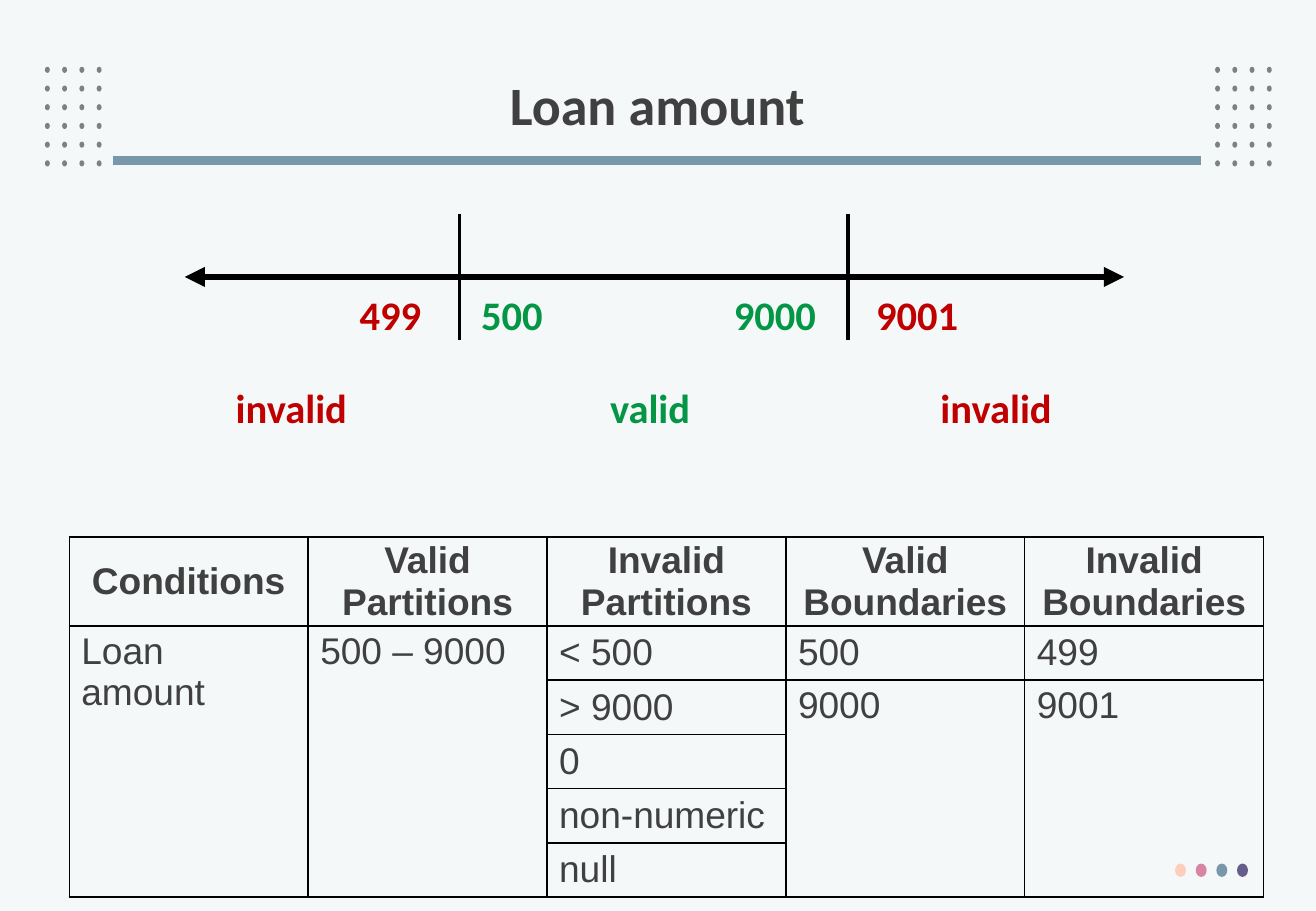
from lxml import etree
from pptx import Presentation
from pptx import util as u
from pptx.dml.color import RGBColor
from pptx.enum import shapes, text
from pptx.oxml.ns import qn

COLORS = {"bg": "F5F8F9", "dot": "808080", "rule": "7897AB", "text": "404040",
          "black": "000000", "valid": "039645", "invalid": "C00000",
          "peach": "FDCEB9", "pink": "D885A3", "blue": "7897AB", "purple": "655D8A"}
HEADERS = ["Conditions", "Valid Partitions", "Invalid Partitions",
           "Valid Boundaries", "Invalid Boundaries"]
COLUMNS = [["Loan amount"], ["500 – 9000"],
           ["< 500", "> 9000", "0", "non-numeric", "null"],
           ["500", "9000"], ["499", "9001"]]


def rgb(name):
    """Return the named colour."""
    return RGBColor.from_string(COLORS[name])


def write(tf, words, color, fmt, align=text.PP_ALIGN.LEFT, spacing=None):
    """Write one formatted paragraph into a text frame."""
    p = tf.paragraphs[0]
    p.alignment, p.line_spacing = align, spacing
    r = p.add_run()
    r.text = words
    for name, value in fmt.items():
        setattr(r.font, name, value)
    r.font.color.rgb = rgb(color)


def add_text(s, box, words, color, size, insets=(0.1, 0.05), wrap=True,
             align=text.PP_ALIGN.LEFT, spacing=0.9):
    """Add a bold text box in the given box."""
    tf = s.shapes.add_textbox(*map(u.Inches, box)).text_frame
    side, edge = map(u.Inches, insets)
    layout = {"word_wrap": wrap, "margin_left": side, "margin_right": side,
              "margin_top": edge, "margin_bottom": edge,
              "vertical_anchor": text.MSO_ANCHOR.MIDDLE if wrap else text.MSO_ANCHOR.TOP}
    for name, value in layout.items():
        setattr(tf, name, value)
    write(tf, words, color, {"name": "Calibri", "size": u.Pt(size), "bold": True},
          align, spacing)


def add_line(s, ends, color, width, arrows=False):
    """Add a straight line, with arrowheads at both ends if asked."""
    sp = s.shapes.add_connector(shapes.MSO_CONNECTOR.STRAIGHT, *map(u.Inches, ends))
    sp.line.color.rgb = rgb(color)
    sp.line.width = u.Pt(width)
    if arrows:
        for tag in ("a:headEnd", "a:tailEnd"):
            etree.SubElement(sp.line._get_or_add_ln(), qn(tag), type="triangle")
    etree.SubElement(sp._element.spPr, qn("a:effectLst"))


def add_dot(s, box, color):
    """Add a small round dot."""
    sp = s.shapes.add_shape(shapes.MSO_SHAPE.OVAL, *map(u.Inches, box))
    sp.shadow.inherit = False
    sp.fill.solid()
    sp.fill.fore_color.rgb = rgb(color)
    sp.line.fill.background()


def add_dot_grid(s, left, top):
    """Add a grid of six rows of four dots."""
    for row in range(6):
        for col in range(4):
            add_dot(s, (left + col * 0.142, top + row * 0.154, 0.04, 0.05), "dot")


def add_heading(s, left, top, width, height):
    """Add the title, its rule and the dot grids on both sides."""
    for x in (left - 0.37, left + width - 0.08):
        add_dot_grid(s, x, top + 0.15)
    add_line(s, (left + 0.19, top + 0.92, left + width - 0.2, top + 0.92), "rule", 5.25)
    add_text(s, (left, top, width, height), "Loan amount", "text", 32,
             align=text.PP_ALIGN.CENTER)


def add_corner_dots(s, left, top):
    """Add the row of coloured dots."""
    for i, color in enumerate(("peach", "pink", "blue", "purple")):
        add_dot(s, (left + i * 0.17, top, 0.09, 0.11), color)


def add_number_line(s, left, top, width, height):
    """Add the range axis with its two limits and labels."""
    axis = top + height / 2
    add_line(s, (left, axis, left + width, axis), "black", 4, arrows=True)
    for x in (2.26, 5.46):
        add_line(s, (left + x, top, left + x, top + height), "black", 2)
    labels = [("499", 1.37, 0.65, 0.65, "invalid"), ("500", 2.37, 0.65, 0.65, "valid"),
              ("9000", 4.45, 0.65, 0.82, "valid"), ("9001", 5.62, 0.65, 0.82, "invalid"),
              ("invalid", 0.35, 1.42, 1.07, "invalid"), ("valid", 3.43, 1.42, 0.81, "valid"),
              ("invalid", 6.15, 1.42, 1.07, "invalid")]
    for words, x, y, w, color in labels:
        add_text(s, (left + x, top + y, w, 0.41), words, color, 24,
                 insets=(0.07, 0.03), wrap=False, spacing=0.87)


def style_cell(cell, edge, anchor):
    """Give a cell black borders, no fill, insets and an anchor."""
    for tag in ("a:lnL", "a:lnR", "a:lnT", "a:lnB"):
        ln = etree.SubElement(cell._tc.get_or_add_tcPr(), qn(tag), w=str(u.Pt(1)))
        fill = etree.SubElement(ln, qn("a:solidFill"))
        etree.SubElement(fill, qn("a:srgbClr"), val=COLORS["black"])
    cell.fill.background()
    fmt = {"margin_left": u.Inches(0.1), "margin_right": u.Inches(0.1),
           "margin_top": u.Inches(edge), "margin_bottom": u.Inches(edge),
           "vertical_anchor": anchor}
    for name, value in fmt.items():
        setattr(cell, name, value)


def add_conditions_table(s, left, top, width, height):
    """Add the table of partitions and boundaries."""
    head = 0.68
    box = map(u.Inches, (left, top, width, height))
    table = s.shapes.add_table(6, len(HEADERS), *box).table
    table.first_row = table.horz_banding = False
    for i, row in enumerate(table.rows):
        row.height = u.Inches((height - head) / 5 if i else head)
    for c, (header, values) in enumerate(zip(HEADERS, COLUMNS)):
        table.columns[c].width = u.Inches(width / len(HEADERS))
        for r in range(6):
            spans = r >= len(values) and len(values) < 5
            anchor = text.MSO_ANCHOR.TOP if r and spans else text.MSO_ANCHOR.MIDDLE
            style_cell(table.cell(r, c), 0.04 if r else 0, anchor)
        for r, words in enumerate([header] + values):
            align = text.PP_ALIGN.LEFT if r else text.PP_ALIGN.CENTER
            write(table.cell(r, c).text_frame, words, "text",
                  {"name": "Arial", "size": u.Pt(22), "bold": r == 0}, align)
        if len(values) < 5:
            table.cell(len(values), c).merge(table.cell(5, c))


def main():
    """Build the slide and save it."""
    prs = Presentation()
    prs.slide_width, prs.slide_height = u.Inches(10.83), u.Inches(7.5)
    s = prs.slides.add_slide(prs.slide_layouts[6])
    s.background.fill.solid()
    s.background.fill.fore_color.rgb = rgb("bg")
    add_heading(s, 0.74, 0.4, 9.34, 0.98)
    add_corner_dots(s, 9.67, 7.11)
    add_conditions_table(s, 0.57, 4.42, 9.83, 2.79)
    add_number_line(s, 1.52, 1.76, 7.73, 1.04)
    prs.save("out.pptx")


if __name__ == "__main__":
    main()
